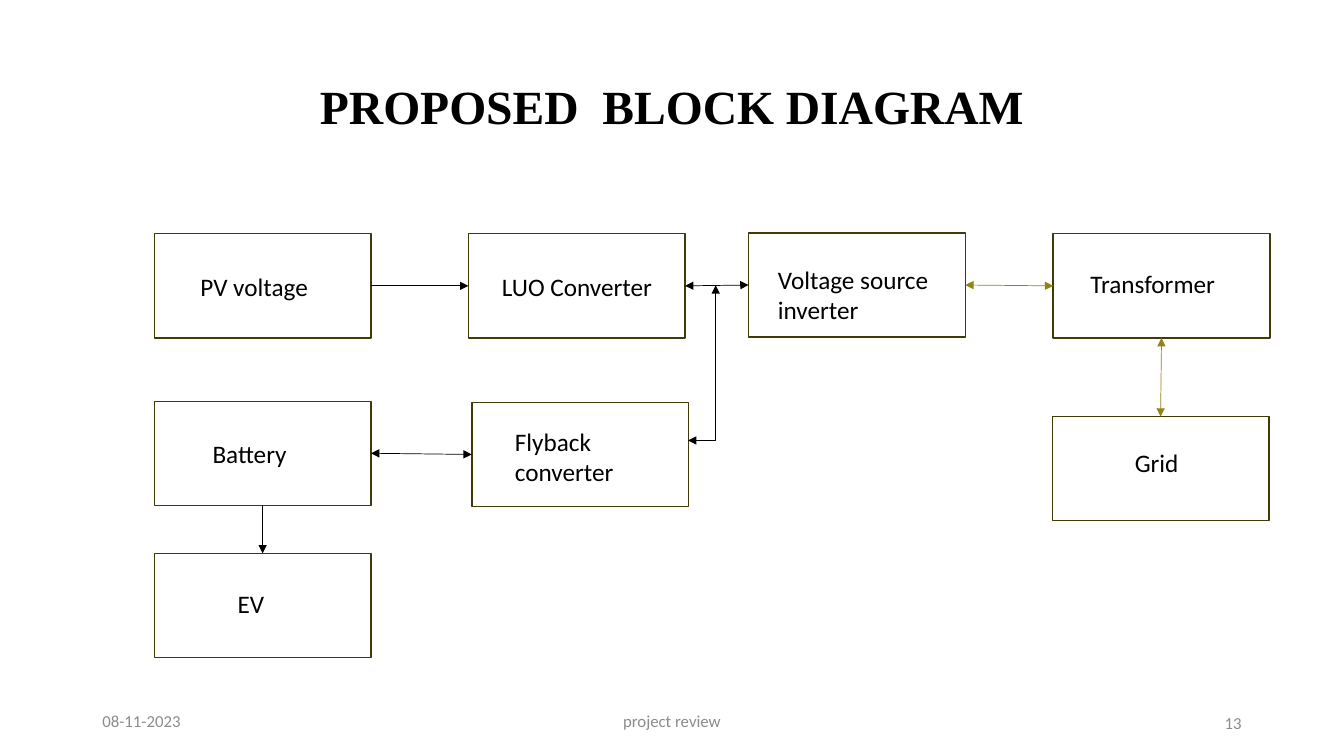
from dataclasses import dataclass

from lxml import etree
from pptx import Presentation
from pptx.dml.color import RGBColor
from pptx.enum.shapes import MSO_CONNECTOR as Connector, MSO_SHAPE as Shape
from pptx.enum.text import MSO_ANCHOR as Anchor, PP_ALIGN as Align
from pptx.oxml.ns import qn
from pptx.util import Pt


@dataclass(frozen=True)
class Theme:
    black: str = "000000"
    gray: str = "8C8C8C"
    border: str = "403A09"
    olive: str = "918415"
    heading_font: str = "Times New Roman"
    body_font: str = "Calibri"
    title_size: int = 34
    label_size: int = 18
    footer_size: int = 12


THEME = Theme()
BOX_WIDTH, BOX_HEIGHT = 154.8, 74.4
TOP, RIGHT_SIDE, BOTTOM, LEFT_SIDE = 0, 3, 2, 1

BLOCKS = {
    "Battery": (110.2, 286.6, 34.5, 23, 95),
    "PV voltage": (110.2, 167, 25.9, 23.1, 103),
    "EV": (110.2, 395.3, 52.5, 21.6, 77),
    "Flyback converter": (337, 287.4, 23.7, 13.6, 116.6),
    "LUO Converter": (334.6, 167, 16.8, 23.1, 125.3),
    "Voltage source inverter": (534.7, 166.4, 13.9, 18.6, 136.8),
    "Grid": (751.6, 297.6, 51.9, 18.5, 82),
    "Transformer": (752.3, 167, 19.5, 20.9, 109.4),
}

LINKS = [
    ("PV voltage", RIGHT_SIDE, "LUO Converter", LEFT_SIDE, False, THEME.black),
    ("Battery", BOTTOM, "EV", TOP, False, THEME.black),
    ("Battery", RIGHT_SIDE, "Flyback converter", LEFT_SIDE, True, THEME.black),
    ("LUO Converter", RIGHT_SIDE, "Voltage source inverter", LEFT_SIDE, True, THEME.black),
    ("Transformer", LEFT_SIDE, "Voltage source inverter", RIGHT_SIDE, True, THEME.olive),
    ("Transformer", BOTTOM, "Grid", TOP, True, THEME.olive),
]


def add_text(slide, text, left, top, width, height, *, size=THEME.label_size,
             font=THEME.body_font, color=THEME.black, bold=False,
             align=Align.LEFT, anchor=Anchor.TOP, spacing=1.0):
    frame = slide.shapes.add_textbox(Pt(left), Pt(top), Pt(width), Pt(height)).text_frame
    frame.word_wrap = True
    frame.vertical_anchor = anchor
    paragraph = frame.paragraphs[0]
    paragraph.alignment = align
    paragraph.line_spacing = spacing
    run = paragraph.add_run()
    run.text = text
    run.font.name = font
    run.font.size = Pt(size)
    run.font.bold = bold
    run.font.color.rgb = RGBColor.from_string(color)


def add_box(slide, left, top):
    box = slide.shapes.add_shape(Shape.RECTANGLE, Pt(left), Pt(top), Pt(BOX_WIDTH), Pt(BOX_HEIGHT))
    box.shadow.inherit = False
    box.fill.background()
    box.line.color.rgb = RGBColor.from_string(THEME.border)
    box.line.width = Pt(1)
    return box


def style_arrow(connector, color, two_way):
    connector.line.color.rgb = RGBColor.from_string(color)
    connector.line.width = Pt(0.5)
    properties = connector._element.spPr
    outline = properties.find(qn("a:ln"))
    for end in ("a:headEnd", "a:tailEnd") if two_way else ("a:tailEnd",):
        etree.SubElement(outline, qn(end), type="triangle")
    etree.SubElement(properties, qn("a:effectLst"))


def add_link(slide, source, source_side, target, target_side, two_way, color):
    connector = slide.shapes.add_connector(Connector.STRAIGHT, 0, 0, 0, 0)
    connector.begin_connect(source, source_side)
    connector.end_connect(target, target_side)
    style_arrow(connector, color, two_way)


def add_corner_arrow(slide, start_x, start_y, end_x, end_y):
    connector = slide.shapes.add_connector(
        Connector.ELBOW, Pt(start_x), Pt(start_y), Pt(end_x), Pt(end_y))
    connector._element.spPr.find(qn("a:prstGeom")).set("prst", "bentConnector2")
    style_arrow(connector, THEME.black, True)


def add_footer(slide, text, left, top, width, align):
    add_text(slide, text, left, top, width, 28.8, size=THEME.footer_size,
             color=THEME.gray, align=align, anchor=Anchor.MIDDLE)


def main():
    presentation = Presentation()
    presentation.slide_width, presentation.slide_height = Pt(960), Pt(540)
    slide = presentation.slides.add_slide(presentation.slide_layouts[6])

    add_text(slide, "PROPOSED  BLOCK DIAGRAM", 66, 26, 828, 104.4,
             size=THEME.title_size, font=THEME.heading_font, bold=True,
             align=Align.CENTER, anchor=Anchor.MIDDLE, spacing=0.9)
    add_footer(slide, "08-11-2023", 66, 500.5, 216, Align.LEFT)
    add_footer(slide, "13", 678, 502, 216, Align.RIGHT)
    add_footer(slide, "project review", 318, 500.5, 324, Align.CENTER)

    boxes = {name: add_box(slide, left, top) for name, (left, top, *_) in BLOCKS.items()}
    for source, source_side, target, target_side, two_way, color in LINKS:
        add_link(slide, boxes[source], source_side, boxes[target], target_side, two_way, color)
    add_corner_arrow(slide, 491.4, 314.6, 511.2, 203.8)
    for name, (left, top, indent, drop, width) in BLOCKS.items():
        add_text(slide, name, left + indent, top + drop, width, 29)

    presentation.save("out.pptx")


if __name__ == "__main__":
    main()
